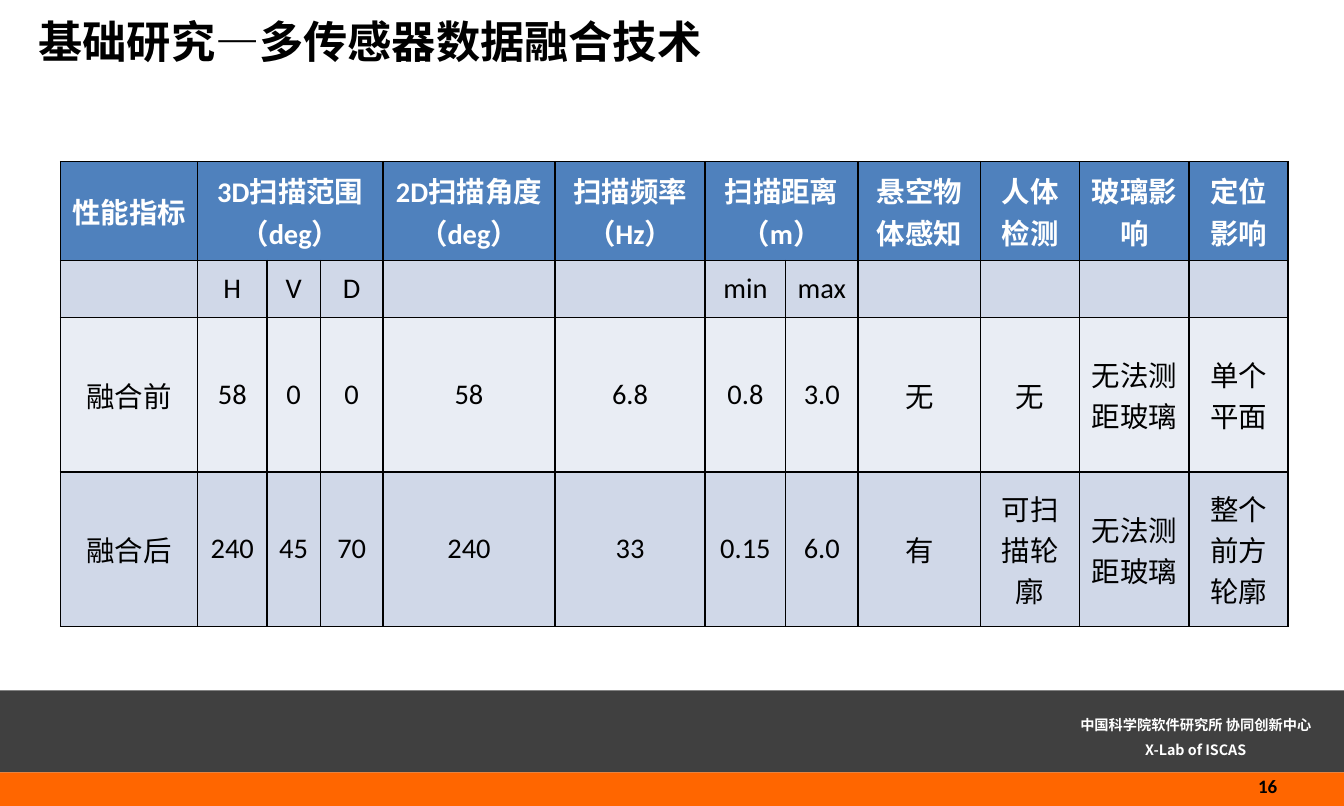
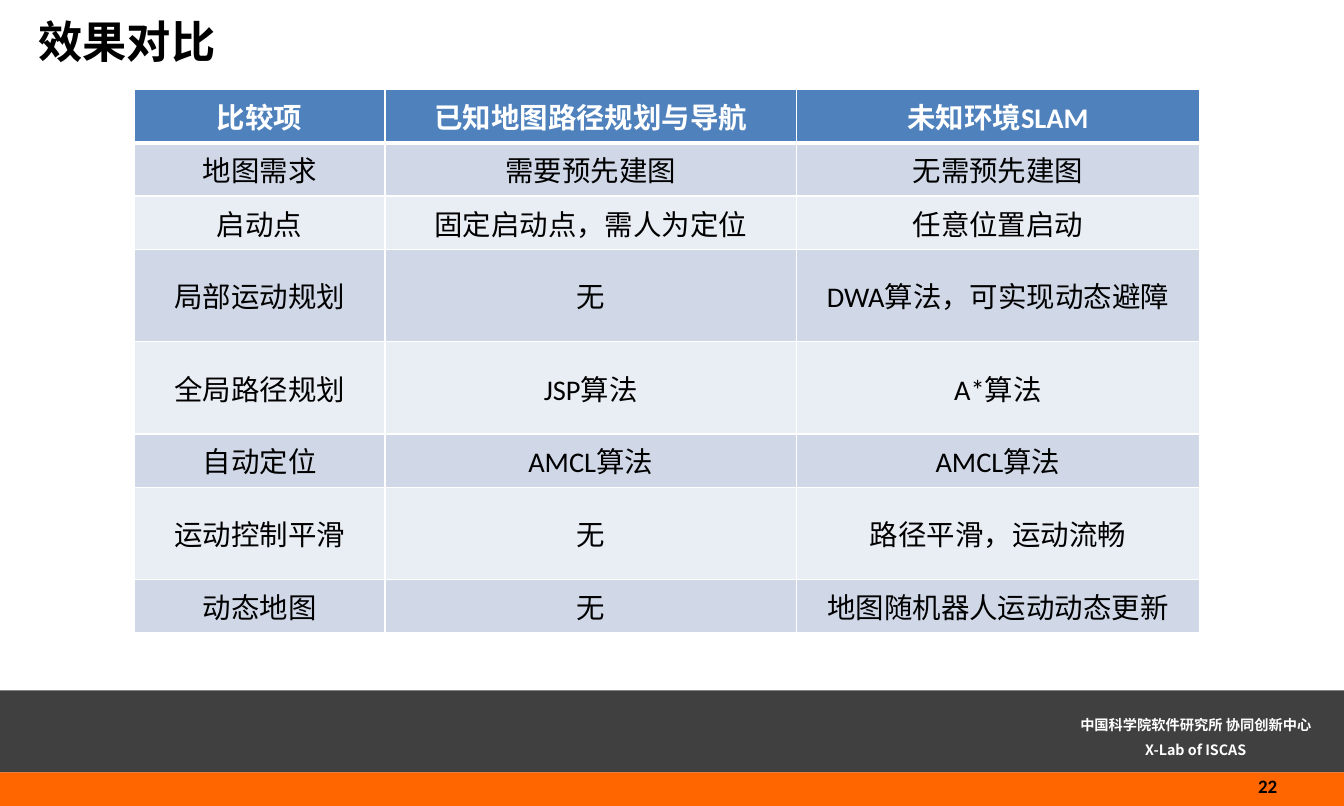
"""Build two slides comparing sensor fusion and navigation results."""
from lxml.etree import SubElement
from pptx import Presentation
from pptx.dml.color import RGBColor
from pptx.enum.shapes import MSO_SHAPE
from pptx.enum.text import MSO_ANCHOR as Anchor, PP_ALIGN as Align
from pptx.oxml import parse_xml
from pptx.oxml.ns import nsdecls, qn
from pptx.util import Cm, Pt

BLACK = RGBColor(0x00, 0x00, 0x00)
WHITE = RGBColor(0xFF, 0xFF, 0xFF)
DARK = RGBColor(0x40, 0x40, 0x40)
ORANGE = RGBColor(0xFF, 0x66, 0x00)
HEADER = RGBColor(0x4F, 0x81, 0xBD)
BANDS = (RGBColor(0xD0, 0xD8, 0xE8), RGBColor(0xE9, 0xED, 0xF4))
LATIN = "Calibri"
CHINESE = "Noto Sans CJK SC"
WIDTH, HEIGHT = 30, 18

SENSOR_COLUMNS = (3.06, 1.55, 1.19, 1.4, 3.84, 3.35, 1.8, 1.61, 2.74, 2.21, 2.44, 2.21)
SENSOR_HEIGHTS = (2.21, 1.27, 3.45, 3.45)
SENSOR_ROWS = (
    ("性能指标", "3D扫描范围（deg）", "", "", "2D扫描角度（deg）", "扫描频率（Hz）",
     "扫描距离（m）", "", "悬空物体感知", "人体检测", "玻璃影响", "定位影响"),
    ("", "H", "V", "D", "", "", "min", "max", "", "", "", ""),
    ("融合前", "58", "0", "0", "58", "6.8", "0.8", "3.0", "无", "无", "无法测距玻璃", "单个平面"),
    ("融合后", "240", "45", "70", "240", "33", "0.15", "6.0", "有", "可扫描轮廓",
     "无法测距玻璃", "整个前方轮廓"),
)
SENSOR_SPANS = ((1, 3), (6, 7))

EFFECT_COLUMNS = (5.59, 9.19, 8.99)
LOW, TALL = 1.19, 2.06
EFFECT_HEIGHTS = (LOW, LOW, LOW, TALL, TALL, LOW, TALL, LOW)
EFFECT_ROWS = (
    ("比较项", "已知地图路径规划与导航", "未知环境SLAM"),
    ("地图需求", "需要预先建图", "无需预先建图"),
    ("启动点", "固定启动点，需人为定位", "任意位置启动"),
    ("局部运动规划", "无", "DWA算法，可实现动态避障"),
    ("全局路径规划", "JSP算法", "A*算法"),
    ("自动定位", "AMCL算法", "AMCL算法"),
    ("运动控制平滑", "无", "路径平滑，运动流畅"),
    ("动态地图", "无", "地图随机器人运动动态更新"),
)


def add_span(para, text, size, color, bold=True, latin=LATIN):
    """Add one formatted run to a paragraph."""
    span = para.add_run()
    span.text = text
    font = span.font
    font.size, font.bold, font.name = Pt(size), bold, latin
    font.color.rgb = color
    SubElement(font._element, qn("a:ea")).set("typeface", CHINESE)


def add_text(page, place, lines, size, color=BLACK, align=Align.LEFT,
             anchor=Anchor.TOP, spacing=None, latin=LATIN):
    """Add a text box with one paragraph for each line."""
    frame = page.shapes.add_textbox(*map(Cm, place)).text_frame
    frame.word_wrap = True
    frame.vertical_anchor = anchor
    for index, line in enumerate(lines):
        para = frame.add_paragraph() if index else frame.paragraphs[0]
        para.alignment, para.line_spacing = align, spacing
        add_span(para, line, size, color, latin=latin)


def add_band(page, top, height, color):
    """Add a full-width footer band."""
    band = page.shapes.add_shape(MSO_SHAPE.RECTANGLE, 0, Cm(top), Cm(WIDTH), Cm(height))
    band.shadow.inherit = False
    band.fill.solid()
    band.fill.fore_color.rgb = color
    band.line.fill.background()


def add_page(deck, title, number):
    """Add a page with the shared title, bands and footer."""
    page = deck.slides.add_slide(deck.slide_layouts[6])
    add_band(page, 15.42, 1.83, DARK)
    add_band(page, 17.25, 0.75, ORANGE)
    add_text(page, (23.39, 15.67, 6.6, 1.42),
             ("中国科学院软件研究所 协同创新中心", "X-Lab of ISCAS"),
             9, WHITE, Align.CENTER, spacing=1.5, latin=CHINESE)
    add_text(page, (22, 17.07, 6.76, 0.97), (str(number),), 12,
             align=Align.RIGHT, anchor=Anchor.MIDDLE)
    add_text(page, (0.61, 0.2, 26.8, 1.45), (title,), 28)
    return page


def set_borders(cell, color, widths):
    """Draw the left, right, top and bottom borders of a cell."""
    properties = cell._tc.get_or_add_tcPr()
    for index, (side, width) in enumerate(zip("LRTB", widths)):
        properties.insert(index, parse_xml(
            f'<a:ln{side} {nsdecls("a")} w="{Pt(width)}"><a:solidFill>'
            f'<a:srgbClr val="{color}"/></a:solidFill></a:ln{side}>'))


def add_grid(page, left, top, columns, heights, rows, border, rule=1, spans=()):
    """Add a banded table whose header has a bottom rule of the given width."""
    grid = page.shapes.add_table(len(rows), len(columns), Cm(left), Cm(top),
                                 Cm(sum(columns)), Cm(sum(heights))).table
    for column, width in zip(grid.columns, columns):
        column.width = Cm(width)
    for r, (height, texts) in enumerate(zip(heights, rows)):
        grid.rows[r].height = Cm(height)
        for c, text in enumerate(texts):
            cell = grid.cell(r, c)
            cell.vertical_anchor = Anchor.MIDDLE
            cell.fill.solid()
            cell.fill.fore_color.rgb = BANDS[(r - 1) % 2] if r else HEADER
            set_borders(cell, border, (1, 1, rule if r == 1 else 1, 1 if r else rule))
            para = cell.text_frame.paragraphs[0]
            para.alignment = Align.CENTER
            if text:
                add_span(para, text, 18, BLACK if r else WHITE, bold=r == 0)
    for first, last in spans:
        grid.cell(0, first).merge(grid.cell(0, last))


def main():
    """Build and save the deck."""
    deck = Presentation()
    deck.slide_width, deck.slide_height = Cm(WIDTH), Cm(HEIGHT)
    page = add_page(deck, "基础研究—多传感器数据融合技术", 16)
    add_grid(page, 1.35, 3.61, SENSOR_COLUMNS, SENSOR_HEIGHTS, SENSOR_ROWS,
             BLACK, spans=SENSOR_SPANS)
    page = add_page(deck, "效果对比", 22)
    add_grid(page, 3, 2, EFFECT_COLUMNS, EFFECT_HEIGHTS, EFFECT_ROWS, WHITE, rule=3)
    deck.save("out.pptx")


if __name__ == "__main__":
    main()
